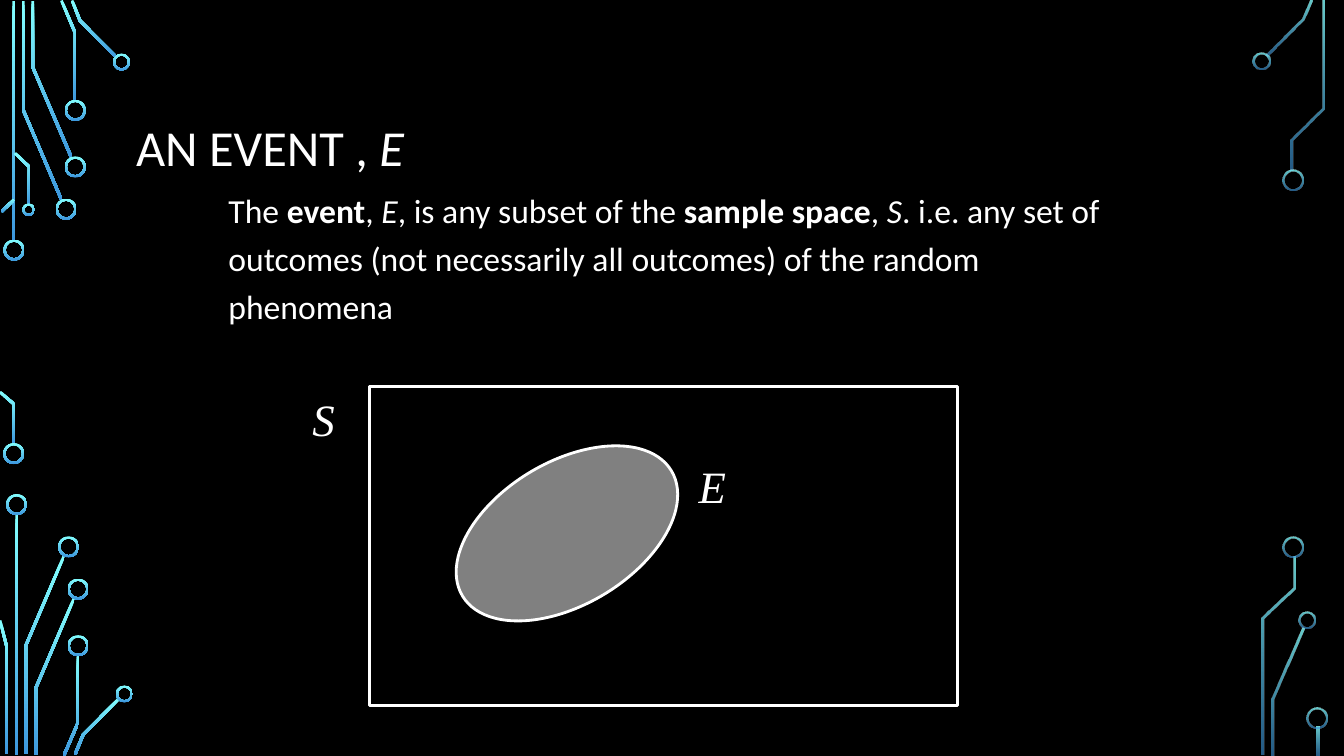
from lxml.etree import SubElement
from pptx import Presentation
from pptx.dml.color import RGBColor
from pptx.enum.shapes import MSO_SHAPE as Preset
from pptx.enum.text import MSO_ANCHOR as Anchor, MSO_AUTO_SIZE as AutoSize, PP_ALIGN as Align
from pptx.oxml.ns import qn
from pptx.util import Pt

BLACK = RGBColor(0x00, 0x00, 0x00)
WHITE = RGBColor(0xFF, 0xFF, 0xFF)
GREY = RGBColor(0x80, 0x80, 0x80)
CYAN = RGBColor(0x82, 0xFF, 0xFF)
BLUE = RGBColor(0x3D, 0x97, 0xDE)

TRACE_WIDTH = 2
RING_WIDTH = 1.5
LARGE, MEDIUM, SMALL = 15, 12.2, 9

TOP_LEFT = {
    "traces": [
        [(9.8, 0.7), (9.8, 172.8)],
        [(44, 142.8), (16.6, 78.5), (16.6, 0.7)],
        [(51.1, 112.7), (23.4, 48), (23.4, 0.7)],
        [(53.8, 72), (53.8, 23.8), (43.9, 0.4)],
        [(83.2, 41), (57.2, 14.8), (51.5, 0.4)],
        [(1.1, 151.2), (10.1, 142.6)],
        [(20.9, 146.2), (20.9, 119.2), (10.8, 109.4)],
    ],
    "rings": [
        (10, 178.6, LARGE), (47.2, 149.4, LARGE), (53.8, 119.2, LARGE),
        (53.8, 78.8, LARGE), (86.8, 44.3, MEDIUM), (20.5, 149.8, SMALL),
    ],
}
BOTTOM_LEFT = {
    "traces": [
        [(10, 37.5), (10, 8.7), (0, 0)],
        [(11.9, 87.2), (11.9, 259.3)],
        [(18.4, 258.6), (18.4, 181.2), (45.7, 117.1)],
        [(4.7, 258.6), (4.7, 181.5), (0, 163.2)],
        [(25.6, 259.3), (25.6, 211.4), (52.9, 147.3)],
        [(45.7, 259.6), (55.8, 236.2), (55.8, 188)],
        [(53.6, 258.9), (59.4, 244.9), (85, 219)],
    ],
    "rings": [
        (9.8, 44, LARGE), (11.9, 80.4, LARGE), (49, 110.6, LARGE),
        (55.8, 140.8, LARGE), (55.8, 181.2, LARGE), (88.9, 215.7, MEDIUM),
    ],
}
TOP_RIGHT = {
    "traces": [
        [(15, 40), (40.6, 14), (46.4, 0.4)],
        [(33, 121.7), (33, 99.7), (55, 77.4), (55, 0.7)],
    ],
    "rings": [(11.1, 43.6, MEDIUM), (33.4, 128.5, LARGE)],
}
BOTTOM_RIGHT = {
    "traces": [
        [(19, 159.3), (19, 119.3), (41, 68.9)],
        [(11.8, 159.3), (11.8, 61.7), (34.1, 40.1), (34.1, 17.4)],
        [(51.4, 139.1), (51.4, 159.3)],
    ],
    "rings": [(43.5, 63.2, MEDIUM), (33.8, 10.6, LARGE), (50.7, 132.6, LARGE)],
}


def set_values(target, values):
    """Set each named attribute of the target."""
    for name, value in values.items():
        setattr(target, name, value)


def place(shape, left, top, width, height):
    """Move and size a shape, in points."""
    set_values(shape, {"left": Pt(left), "top": Pt(top), "width": Pt(width), "height": Pt(height)})


def paint_gradient(shape, opacities):
    """Fill a circuit part from cyan at the top to blue at the bottom."""
    shape.shadow.inherit = False
    shape.line.fill.background()
    shape.fill.gradient()
    shape.fill.gradient_angle = 270
    for stop, color in zip(shape.fill.gradient_stops, (CYAN, BLUE)):
        stop.color.rgb = color
    for color, opacity in zip(shape._element.spPr.iter(qn("a:srgbClr")), opacities):
        if opacity < 100:
            SubElement(color, qn("a:alpha"), val=str(opacity * 1000))


def trace_outline(points):
    """Return the mitred outline of a trace of constant width."""
    dots = [complex(*point) for point in points]
    normals = [1j * (end - start) / abs(end - start) for start, end in zip(dots, dots[1:])]
    sums = [a + b for a, b in zip(normals[:1] + normals, normals + normals[-1:])]
    offsets = [total * TRACE_WIDTH / abs(total) ** 2 for total in sums]
    one_side = [dot + offset for dot, offset in zip(dots, offsets)]
    other_side = [dot - offset for dot, offset in zip(dots, offsets)]
    return one_side + other_side[::-1]


def add_circuit(slide, left, top, parts, opacities=(100, 100)):
    """Draw a corner's traces and rings from the given top left point."""
    for points in parts["traces"]:
        outline = [(Pt(left + dot.real), Pt(top + dot.imag)) for dot in trace_outline(points)]
        builder = slide.shapes.build_freeform(*outline[0])
        builder.add_line_segments(outline[1:], close=True)
        paint_gradient(builder.convert_to_shape(), opacities)
    for x, y, size in parts["rings"]:
        ring = slide.shapes.add_shape(
            Preset.DONUT, Pt(left + x - size / 2), Pt(top + y - size / 2), Pt(size), Pt(size))
        ring.adjustments[0] = RING_WIDTH / size
        paint_gradient(ring, opacities)


def write(shape, runs, font, paragraph_format):
    """Write one paragraph of (text, style) runs, style being '', 'b' or 'i'."""
    set_values(shape.text_frame, {"word_wrap": True, "auto_size": AutoSize.NONE})
    paragraph = shape.text_frame.paragraphs[0]
    set_values(paragraph, paragraph_format)
    for text, style in runs:
        run = paragraph.add_run()
        run.text = text
        set_values(run.font, {**font, "bold": style == "b", "italic": style == "i"})
        run.font.color.rgb = WHITE
    return paragraph


def add_title(slide, left, top, width, height):
    """Fill the title placeholder."""
    title = slide.shapes.title
    place(title, left, top, width, height)
    title.text_frame.vertical_anchor = Anchor.MIDDLE
    write(title, [("AN EVENT , ", ""), ("E", "i")], {"name": "Calibri", "size": Pt(36)},
          {"alignment": Align.LEFT, "line_spacing": 0.9})


def add_definition(slide, left, top, width, height):
    """Fill the body placeholder with the definition, without a bullet."""
    body = slide.placeholders[1]
    place(body, left, top, width, height)
    runs = [
        ("The ", ""), ("event", "b"), (", ", ""), ("E", "i"),
        (", is any subset of the ", ""), ("sample space", "b"), (", ", ""), ("S", "i"),
        (". i.e. any set of outcomes (not necessarily all outcomes) of the random phenomena", ""),
    ]
    paragraph = write(body, runs, {"name": "Calibri", "size": Pt(24)},
                      {"line_spacing": 1.2, "space_before": Pt(10)})
    properties = paragraph._p.get_or_add_pPr()
    properties.set("marL", "0")
    properties.set("indent", "0")
    SubElement(properties, qn("a:buNone"))


def add_venn_diagram(slide, left, top, width, height):
    """Draw the sample space, the event inside it, and their labels."""
    space = slide.shapes.add_shape(Preset.RECTANGLE, Pt(left), Pt(top), Pt(width), Pt(height))
    space.fill.background()
    event = slide.shapes.add_shape(Preset.OVAL, Pt(left + 54), Pt(top + 54), Pt(174), Pt(102))
    event.fill.solid()
    event.fill.fore_color.rgb = GREY
    event.rotation = 329.1
    for shape in (space, event):
        shape.shadow.inherit = False
        shape.line.color.rgb = WHITE
        shape.line.width = Pt(2)
    for letter, x, y in (("S", -48, 0), ("E", 228, 48)):
        label = slide.shapes.add_textbox(Pt(left + x), Pt(top + y), Pt(66), Pt(42))
        write(label, [(letter, "i")], {"name": "Times New Roman", "size": Pt(32)},
              {"space_before": Pt(3)})


def main():
    """Build the slide and save it."""
    presentation = Presentation()
    set_values(presentation, {"slide_width": Pt(960), "slide_height": Pt(540)})
    slide = presentation.slides.add_slide(presentation.slide_layouts[1])
    slide.background.fill.solid()
    slide.background.fill.fore_color.rgb = BLACK
    add_circuit(slide, 0, 0, TOP_LEFT)
    add_circuit(slide, 0, 280, BOTTOM_LEFT)
    add_circuit(slide, 890, 0, TOP_RIGHT, (80, 60))
    add_circuit(slide, 890, 380, BOTTOM_RIGHT, (80, 60))
    add_title(slide, 90, 49, 780, 117)
    add_definition(slide, 156, 126, 648, 126)
    add_venn_diagram(slide, 264, 276, 420, 228)
    presentation.save("out.pptx")


if __name__ == "__main__":
    main()
